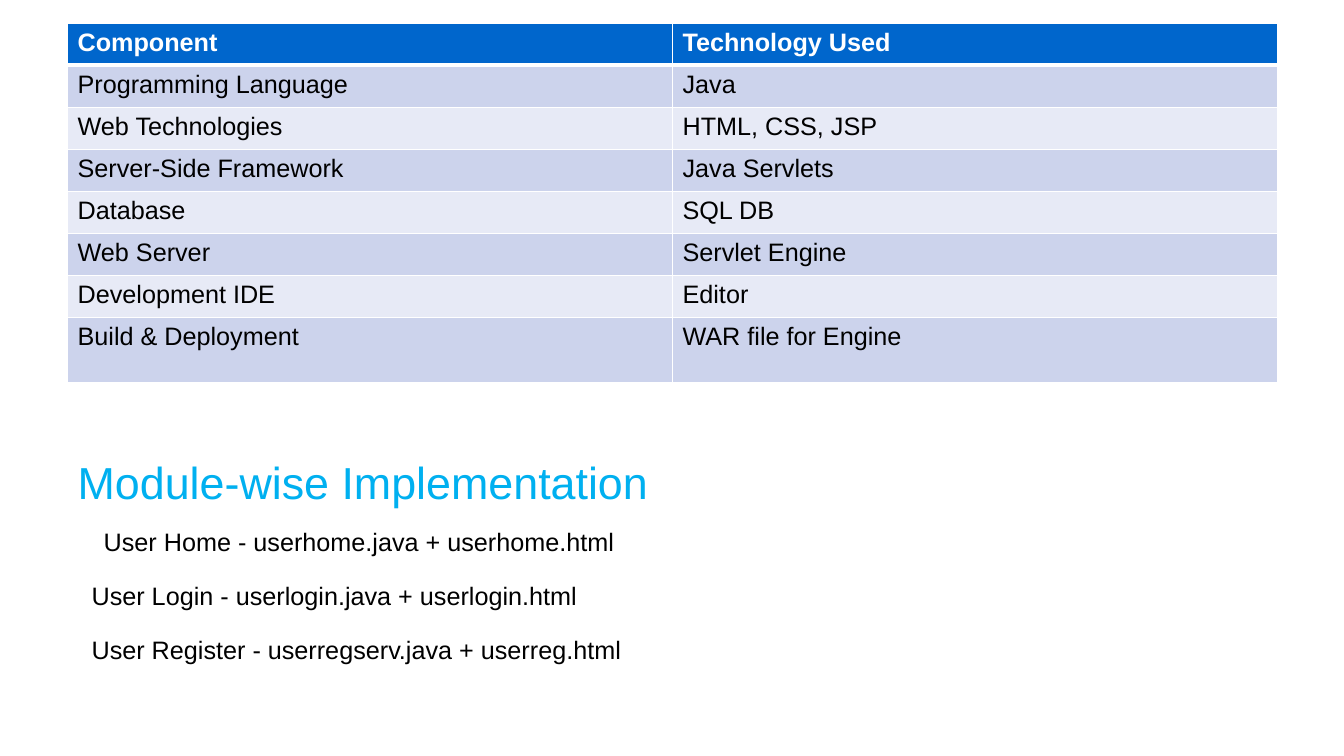
from lxml import etree
from pptx import Presentation
from pptx.dml.color import RGBColor
from pptx.enum.text import MSO_ANCHOR, MSO_AUTO_SIZE, PP_ALIGN
from pptx.oxml.ns import qn
from pptx.util import Inches, Pt

TOP = MSO_ANCHOR.TOP
NO_FIT = MSO_AUTO_SIZE.NONE
LEFT = PP_ALIGN.LEFT

ROWS = [
    ("Component", "Technology Used"),
    ("Programming Language", "Java"),
    ("Web Technologies", "HTML, CSS, JSP"),
    ("Server-Side Framework", "Java Servlets"),
    ("Database", "SQL DB"),
    ("Web Server", "Servlet Engine"),
    ("Development IDE", "Editor"),
    ("Build & Deployment", "WAR file for Engine"),
]
TITLE = "Module-wise Implementation"
MODULES = [
    (0.93, "User Home - userhome.java + userhome.html"),
    (0.81, "User Login - userlogin.java + userlogin.html"),
    (0.81, "User Register - userregserv.java + userreg.html"),
]
COLORS = {
    "head": "0066CC",
    "odd": "CCD3EC",
    "even": "E7EAF6",
    "white": "FFFFFF",
    "black": "000000",
    "title": "00B0F0",
}
BODY = {"name": "Arial", "size": Pt(18), "bold": False}
HEAD = {**BODY, "bold": True}
LARGE = {**BODY, "size": Pt(32)}
FRAME = {"word_wrap": True, "auto_size": NO_FIT, "vertical_anchor": TOP}

SIDE = 0.67
TABLE_TOP = 0.23
COL_W = 6
ROW_H = 0.417
LAST_H = 0.65
LIST_TOP = 5.17
STEP = 0.535


def rgb(key):
    return RGBColor.from_string(COLORS[key])


def style(para, form, color):
    para.alignment = LEFT
    font = para.runs[0].font
    for key, value in form.items():
        setattr(font, key, value)
    font.color.rgb = rgb(color)


def write(shape, text, form, color):
    frame = shape.text_frame
    for key, value in FRAME.items():
        setattr(frame, key, value)
    frame.text = text
    style(frame.paragraphs[0], form, color)


def place(shape, *box):
    for key, value in zip(("left", "top", "width", "height"), box):
        setattr(shape, key, Inches(value))


def border(cell, row):
    widths = {"L": 1, "R": 1, "T": 3 if row == 1 else 1, "B": 3 if row == 0 else 1}
    props = cell._tc.get_or_add_tcPr()
    for side, width in widths.items():
        line = etree.SubElement(props, qn(f"a:ln{side}"), w=str(Pt(width)))
        fill = etree.SubElement(line, qn("a:solidFill"))
        etree.SubElement(fill, qn("a:srgbClr"), val=COLORS["white"])


def add_grid(slide):
    count = len(ROWS)
    height = ROW_H * (count - 1) + LAST_H
    grid = slide.shapes.add_table(
        count, 2, Inches(SIDE), Inches(TABLE_TOP), Inches(2 * COL_W), Inches(height)
    ).table
    for col in grid.columns:
        col.width = Inches(COL_W)
    for r, texts in enumerate(ROWS):
        grid.rows[r].height = Inches(LAST_H if r == count - 1 else ROW_H)
        fill = "head" if r == 0 else "odd" if r % 2 else "even"
        form, color = (HEAD, "white") if r == 0 else (BODY, "black")
        for c, text in enumerate(texts):
            cell = grid.cell(r, c)
            border(cell, r)
            cell.fill.solid()
            cell.fill.fore_color.rgb = rgb(fill)
            cell.text = text
            style(cell.text_frame.paragraphs[0], form, color)


def main():
    deck = Presentation()
    deck.slide_width = Inches(13.33)
    deck.slide_height = Inches(7.5)
    slide = deck.slides.add_slide(deck.slide_layouts[5])
    add_grid(slide)
    title = slide.shapes.title
    place(title, SIDE, 4.46, 8.91, 0.64)
    write(title, TITLE, LARGE, "title")
    for i, (left, text) in enumerate(MODULES):
        box = slide.shapes.add_textbox(0, 0, 0, 0)
        place(box, left, LIST_TOP + i * STEP, 6.41, 0.4)
        write(box, text, BODY, "black")
    deck.save("out.pptx")


if __name__ == "__main__":
    main()
